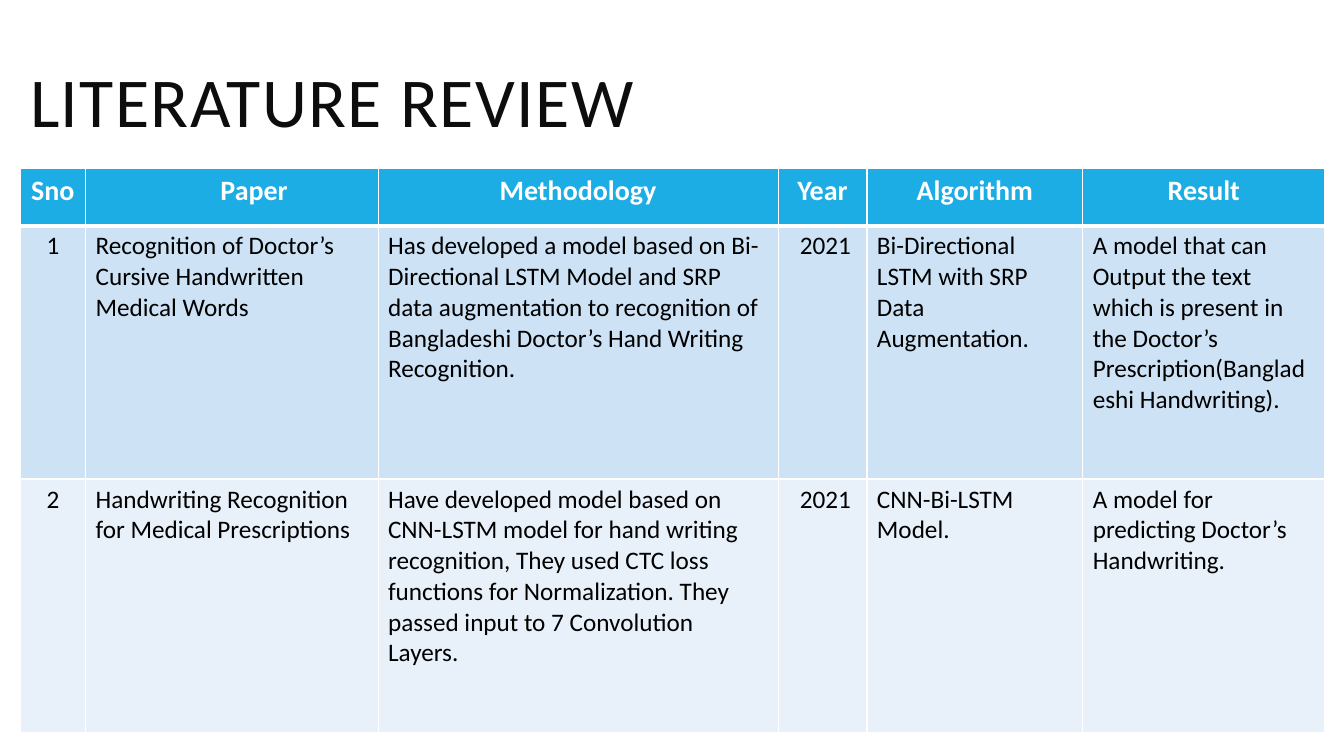
from lxml.etree import SubElement
from pptx import Presentation
from pptx.dml.color import RGBColor
from pptx.enum.text import MSO_ANCHOR, PP_ALIGN
from pptx.oxml import parse_xml
from pptx.oxml.ns import nsdecls, qn
from pptx.util import Cm, Pt

TITLE = "LITERATURE REVIEW"
HEADER = ["Sno", "Paper", "Methodology", "Year", "Algorithm", "Result"]
PAPERS = [
    ["1",
     "Recognition of Doctor’s Cursive Handwritten Medical Words",
     "Has developed a model based on Bi-Directional LSTM Model and SRP data augmentation "
     "to recognition of Bangladeshi Doctor’s Hand Writing Recognition.",
     "2021",
     "Bi-Directional LSTM with SRP Data Augmentation.",
     "A model that can Output the text which is present in the Doctor’s "
     "Prescription(Bangladeshi Handwriting)."],
    ["2",
     "Handwriting Recognition for Medical Prescriptions",
     "Have developed model based on CNN-LSTM model for hand writing recognition, They used "
     "CTC loss functions for Normalization. They passed input to 7 Convolution Layers.",
     "2021",
     "CNN-Bi-LSTM Model.",
     "A model for predicting Doctor’s Handwriting."],
]
COLUMN_WIDTHS = [1.65, 7.37, 10.08, 2.24, 5.44, 6.1]
ROW_HEIGHTS = [1.45, 6.38, 6.38]
ROW_FILLS = ["1CADE4", "CDE3F5", "E8F1FA"]
CENTRED = {"Sno", "Year"}
LEFT, TABLE_TOP = 0.51, 4.24
CELL_MARGIN, PAPER_SHIFT, YEAR_SHIFT = 0.25, 1.12, 0.14
FONT = "Calibri"


def colour(hex_string):
    return RGBColor.from_string(hex_string)


def add_run(paragraph, text, size, hex_string, bold=False):
    run = paragraph.add_run()
    run.text = text
    run.font.name = FONT
    run.font.size = Pt(size)
    run.font.bold = bold
    run.font.color.rgb = colour(hex_string)
    return run


def set_borders(cell, widths):
    """Draw white borders; widths are points for left, right, top, bottom."""
    properties = cell._tc.get_or_add_tcPr()
    for position, (side, width) in enumerate(zip("LRTB", widths)):
        line = parse_xml(f'<a:ln{side} {nsdecls("a")} w="{Pt(width)}"/>')
        fill = SubElement(line, qn("a:solidFill"))
        SubElement(fill, qn("a:srgbClr"), val="FFFFFF")
        properties.insert(position, line)


def add_title(slide):
    box = slide.shapes.add_textbox(Cm(LEFT), Cm(0.61), Cm(27), Cm(4.17))
    frame = box.text_frame
    frame.word_wrap = True
    frame.vertical_anchor = MSO_ANCHOR.MIDDLE
    paragraph = frame.paragraphs[0]
    paragraph.line_spacing = 0.8
    run = add_run(paragraph, TITLE, 50, "0D0D0D")
    run._r.get_or_add_rPr().set("spc", "100")


def fill_cell(cell, text, row, heading):
    is_header = row == 0
    cell.fill.solid()
    cell.fill.fore_color.rgb = colour(ROW_FILLS[row])
    set_borders(cell, (1, 1, 3 if row == 1 else 1, 3 if is_header else 1))
    shift = 0
    if is_header and heading == "Paper":
        shift = PAPER_SHIFT
    elif not is_header and heading == "Year":
        shift = YEAR_SHIFT
    cell.margin_left = Cm(CELL_MARGIN + shift)
    paragraph = cell.text_frame.paragraphs[0]
    centred = is_header or heading in CENTRED
    paragraph.alignment = PP_ALIGN.CENTER if centred else PP_ALIGN.LEFT
    add_run(paragraph, text, 20 if is_header else 18,
            "FFFFFF" if is_header else "000000", is_header)


def add_review_table(slide):
    rows = [HEADER, *PAPERS]
    table = slide.shapes.add_table(
        len(rows), len(HEADER), Cm(LEFT), Cm(TABLE_TOP),
        Cm(sum(COLUMN_WIDTHS)), Cm(sum(ROW_HEIGHTS))).table
    for column, width in zip(table.columns, COLUMN_WIDTHS):
        column.width = Cm(width)
    for row, (texts, height) in enumerate(zip(rows, ROW_HEIGHTS)):
        table.rows[row].height = Cm(height)
        for column, (heading, text) in enumerate(zip(HEADER, texts)):
            fill_cell(table.cell(row, column), text, row, heading)


def main():
    presentation = Presentation()
    presentation.slide_width, presentation.slide_height = Cm(33.87), Cm(19.05)
    slide = presentation.slides.add_slide(presentation.slide_layouts[6])
    add_title(slide)
    add_review_table(slide)
    presentation.save("out.pptx")


if __name__ == "__main__":
    main()
